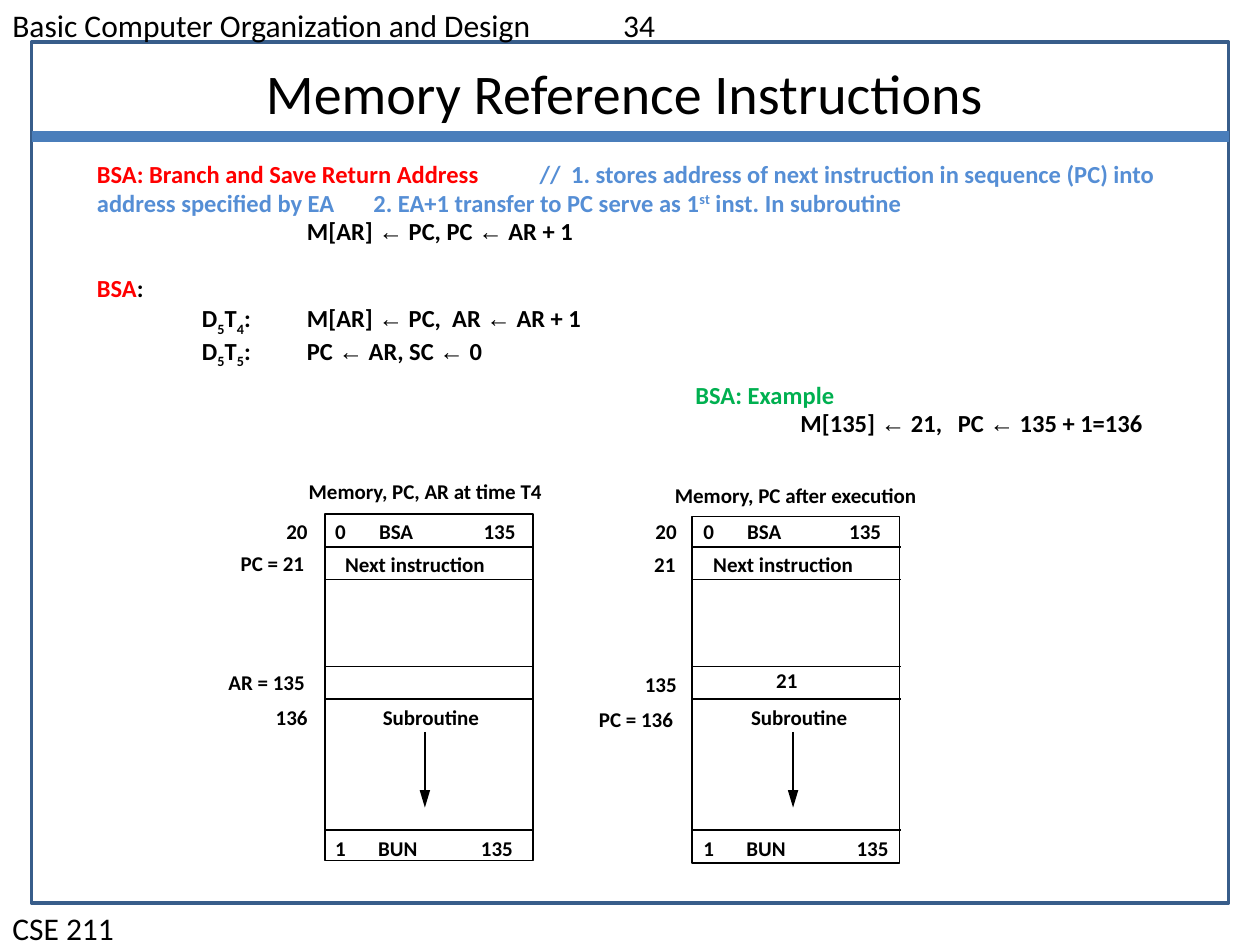
import itertools

import pptx
import pptx.dml.color
import pptx.enum.shapes
import pptx.enum.text
import pptx.oxml
import pptx.oxml.ns
import pptx.util

Pt = pptx.util.Pt
RGB = pptx.dml.color.RGBColor
ALIGN = pptx.enum.text.PP_ALIGN
SHAPE = pptx.enum.shapes.MSO_SHAPE
CONNECTOR = pptx.enum.shapes.MSO_CONNECTOR

BLACK = RGB(0x00, 0x00, 0x00)
RED = RGB(0xFF, 0x00, 0x00)
GREEN = RGB(0x00, 0xB0, 0x50)
BLUE = RGB(0x55, 0x8E, 0xD5)
FRAME = RGB(0x38, 0x5D, 0x8A)
RULE = RGB(0x4A, 0x7E, 0xBB)

TITLE = "Memory Reference Instructions"
HEADER = "Basic Computer Organization and Design\t34"
FOOTER = "CSE 211"

SUB, SUPER = -25000, 30000
BLANK_LINE = 16.2


def timing(step, action):
    return [("\tD", BLACK), ("5", BLACK, SUB), ("T", BLACK),
            (step, BLACK, SUB), (":\t" + action, BLACK)]


BSA_TEXT = [
    {"tabs": (158, 253, 271), "runs": [
        ("BSA: Branch and Save Return Address\t", RED),
        ("//\t1. stores address of next instruction in sequence (PC) into "
         "address specified by EA\t2. EA+1 transfer to PC serve as 1", BLUE),
        ("st", BLUE, SUPER), (" inst. In subroutine", BLUE)]},
    {"tabs": (60, 120), "runs": [("\t\tM[AR] ← PC, PC ← AR + 1", BLACK)]},
    {"before": BLANK_LINE, "runs": [("BSA", RED), (":", BLACK)]},
    {"tabs": (60, 120, 203), "runs": timing("4", "M[AR] ← PC,\tAR ← AR + 1")},
    {"tabs": (60, 120), "runs": timing("5", "PC ← AR, SC ← 0")},
]
EXAMPLE_TEXT = [
    {"runs": [("BSA: Example", GREEN)]},
    {"tabs": (60, 150), "runs": [("\tM[135] ← 21,\tPC ← 135 + 1=136", BLACK)]},
]

MEMORY_LINES = (312.5, 331.2, 380.9, 399.6, 474.5)
MEMORY_SIZE = (118.8, 198)
MEMORY_CELLS = [
    ("0", -1.4, 293, 22), ("BSA", 23.7, 293, 38),
    ("Next instruction", 4.3, 311.8, 100), ("Subroutine", 25.9, 398.9, 75),
    ("1", -1.4, 473.8, 22), ("BUN", 23.2, 473.8, 42),
]
MEMORIES = [
    {"left": 185.8, "box": (185.8, 293.8),
     "heading": ("Memory, PC, AR at time T4", 169.3, 270, 160),
     "cells": [("135", 83.5, 293, 36), ("135", 82, 473.8, 36)],
     "addresses": [("20", 182.9, 293, 30), ("PC = 21", 180.9, 311, 58),
                   ("AR = 135", 181.3, 379, 64), ("136", 182.9, 398.9, 36)]},
    {"left": 396.2, "box": (395.3, 295.2),
     "heading": ("Memory, PC after execution", 378.5, 272.2, 165),
     "cells": [("135", 82, 293, 36), ("135", 86.2, 473.8, 36),
               ("21", 40.3, 378.2, 30)],
     "addresses": [("20", 393.8, 293, 30), ("21", 393.1, 311.8, 30),
                   ("135", 393.8, 380.2, 36), ("PC = 136", 391.7, 400.3, 64)]},
]


def set_attrs(obj, values):
    for name, value in values.items():
        setattr(obj, name, value)


def place(sp, left, top, width, height):
    set_attrs(sp, {"left": Pt(left), "top": Pt(top),
                   "width": Pt(width), "height": Pt(height)})


def write(p, runs, size, bold=False):
    for text, color, *baseline in runs:
        for arrow, chars in itertools.groupby(text, lambda c: c == "←"):
            r = p.add_run()
            r.text = "".join(chars)
            set_attrs(r.font, {"name": "Arial" if arrow else "Calibri",
                               "size": Pt(size), "bold": bold})
            r.font.color.rgb = color
            if baseline:
                r._r.get_or_add_rPr().set("baseline", str(baseline[0]))


def add_tabs(p, stops):
    pPr = p._p.get_or_add_pPr()
    tabs = pptx.oxml.parse_xml(f"<a:tabLst {pptx.oxml.ns.nsdecls('a')}/>")
    for stop in stops:
        tabs.append(pptx.oxml.parse_xml(
            f'<a:tab {pptx.oxml.ns.nsdecls("a")} pos="{Pt(stop)}" algn="l"/>'))
    pPr.append(tabs)


def add_text(s, box, paragraphs, size, bold=False, inset=(7.2, 3.6),
             spacing=1.0, align=ALIGN.LEFT):
    sp = s.shapes.add_textbox(*map(Pt, box))
    tf = sp.text_frame
    x, y = map(Pt, inset)
    set_attrs(tf, {"word_wrap": True, "margin_left": x, "margin_right": x,
                   "margin_top": y, "margin_bottom": y})
    for i, item in enumerate(paragraphs):
        p = tf.add_paragraph() if i else tf.paragraphs[0]
        set_attrs(p, {"alignment": align, "line_spacing": spacing})
        if "before" in item:
            p.space_before = Pt(item["before"])
        if "tabs" in item:
            add_tabs(p, item["tabs"])
        write(p, item["runs"], size, bold)


def add_label(s, text, left, top, width, align=ALIGN.LEFT):
    add_text(s, (left, top, width, 21.6), [{"runs": [(text, BLACK)]}], 12,
             bold=True, align=align)


def add_box(s, left, top, width, height, color, weight):
    sp = s.shapes.add_shape(SHAPE.RECTANGLE, *map(Pt, (left, top, width, height)))
    sp.shadow.inherit = False
    sp.fill.background()
    sp.line.color.rgb = color
    sp.line.width = Pt(weight)


def add_line(s, x1, y1, x2, y2, color=BLACK, weight=1, arrow=False):
    line = s.shapes.add_connector(CONNECTOR.STRAIGHT, *map(Pt, (x1, y1, x2, y2)))
    line.line.color.rgb = color
    line.line.width = Pt(weight)
    ns = pptx.oxml.ns.nsdecls("a")
    if arrow:
        line.line._get_or_add_ln().append(pptx.oxml.parse_xml(
            f'<a:tailEnd {ns} type="triangle" w="med" len="lg"/>'))
    line._element.spPr.append(pptx.oxml.parse_xml(f"<a:effectLst {ns}/>"))


def add_memory(s, memory):
    left = memory["left"]
    width, height = MEMORY_SIZE
    add_box(s, *memory["box"], width, height, BLACK, 1)
    for y in MEMORY_LINES:
        add_line(s, left, y, left + width, y)
    add_line(s, left + 57, 418.3, left + 57, 461.5, arrow=True)
    add_label(s, *memory["heading"])
    for text, x, y, w in MEMORY_CELLS + memory["cells"]:
        add_label(s, text, left + x, y, w)
    for text, right, y, w in memory["addresses"]:
        add_label(s, text, right - w, y, w, ALIGN.RIGHT)


def main():
    prs = pptx.Presentation()
    prs.slide_width, prs.slide_height = Pt(720), Pt(540)
    s = prs.slides.add_slide(prs.slide_layouts[5])

    title = s.shapes.title
    place(title, 54, 30, 606, 46)
    tf = title.text_frame
    set_attrs(tf, {"vertical_anchor": pptx.enum.text.MSO_ANCHOR.TOP,
                   "auto_size": pptx.enum.text.MSO_AUTO_SIZE.NONE})
    tf.paragraphs[0].alignment = ALIGN.CENTER
    write(tf.paragraphs[0], [(TITLE, BLACK)], 32)

    add_box(s, 18, 24, 684, 492, FRAME, 2)
    add_line(s, 18, 78, 702, 78, RULE, 6.75)
    add_text(s, (0, 0, 720, 29), [{"tabs": (349,), "runs": [(HEADER, BLACK)]}], 18)
    add_text(s, (0, 516, 720, 29), [{"runs": [(FOOTER, BLACK)]}], 18)

    for memory in MEMORIES:
        add_memory(s, memory)

    body = {"size": 14, "bold": True, "inset": (5, 2), "spacing": 0.97}
    add_text(s, (50.4, 90, 615.6, 139), BSA_TEXT, **body)
    add_text(s, (392.4, 216, 327.6, 37), EXAMPLE_TEXT, **body)

    prs.save("out.pptx")


if __name__ == "__main__":
    main()
